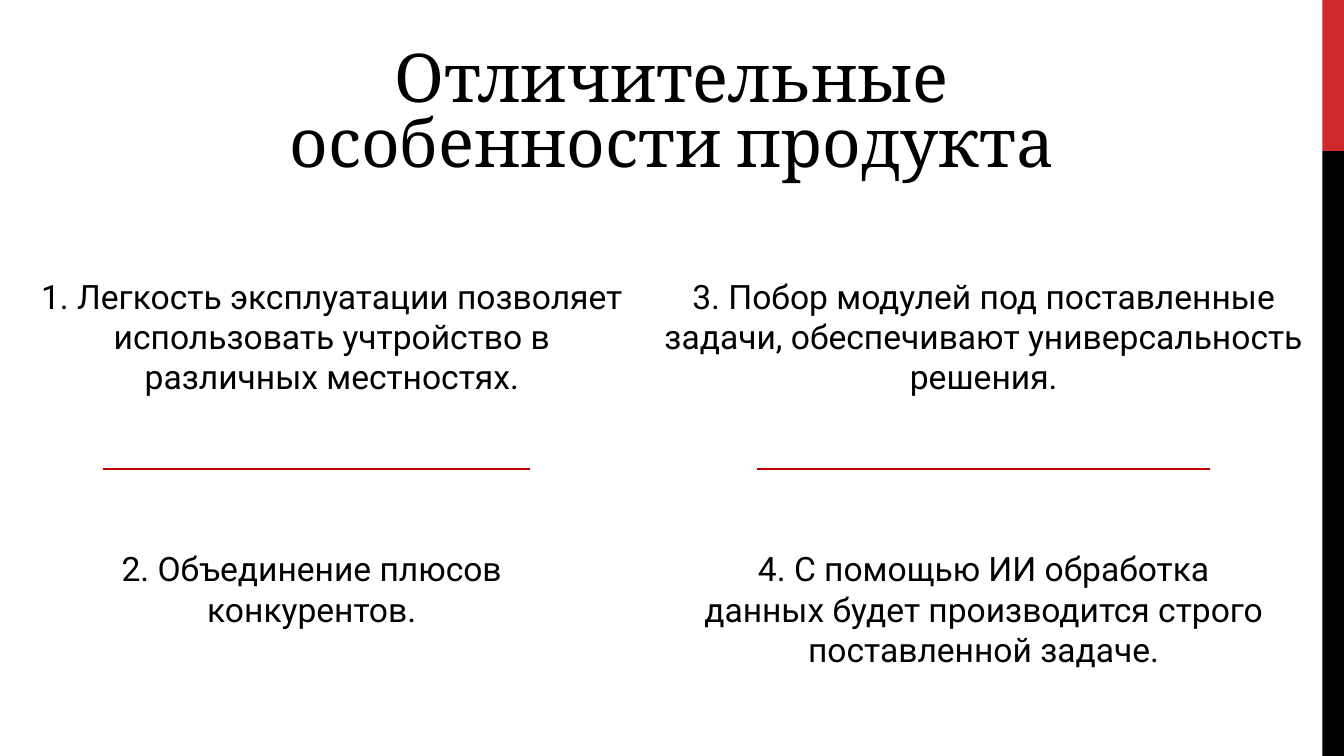
from lxml.etree import SubElement
from pptx import Presentation
from pptx.dml.color import RGBColor
from pptx.enum.shapes import MSO_CONNECTOR as Connector, MSO_SHAPE as Shape
from pptx.enum.text import MSO_ANCHOR as Anchor, MSO_AUTO_SIZE as AutoSize, PP_ALIGN as Align
from pptx.oxml.ns import qn
from pptx.util import Inches, Pt

BLACK = RGBColor(0x00, 0x00, 0x00)
BAR_RED = RGBColor(0xD1, 0x28, 0x2E)
RULE_RED = RGBColor(0xC0, 0x00, 0x00)

COLUMNS, ROWS = 100, 56.25


class FeatureSlide:
    title_font, body_font = "Cambria", "Roboto"
    title_size, body_size = Pt(36), Pt(18)

    def __init__(self, presentation):
        self.column = presentation.slide_width / COLUMNS
        self.row = presentation.slide_height / ROWS
        self.slide = presentation.slides.add_slide(presentation.slide_layouts[5])

    def place(self, left, top, width, height):
        return (round(left * self.column), round(top * self.row),
                round(width * self.column), round(height * self.row))

    def set_text(self, frame, text, font, size):
        frame.word_wrap = True
        frame.auto_size = AutoSize.NONE
        frame.vertical_anchor = Anchor.TOP
        paragraph = frame.paragraphs[0]
        paragraph.alignment = Align.CENTER
        run = paragraph.add_run()
        run.text = text
        run.font.name = font
        run.font.size = size
        run.font.color.rgb = BLACK
        return paragraph

    def title(self, text, *cells):
        shape = self.slide.shapes.title
        shape.left, shape.top, shape.width, shape.height = self.place(*cells)
        frame = shape.text_frame
        frame.margin_left = frame.margin_right = Inches(0.05)
        frame.margin_top = frame.margin_bottom = Inches(0.05)
        paragraph = self.set_text(frame, text, self.title_font, self.title_size)
        paragraph.line_spacing = 0.81

    def bar(self, color, *cells):
        shape = self.slide.shapes.add_shape(Shape.RECTANGLE, *self.place(*cells))
        shape.shadow.inherit = False
        shape.fill.solid()
        shape.fill.fore_color.rgb = color
        shape.line.fill.background()

    def feature(self, text, *cells):
        shape = self.slide.shapes.add_textbox(*self.place(*cells))
        self.set_text(shape.text_frame, text, self.body_font, self.body_size)

    def rule(self, left, top, width):
        x, y, length, _ = self.place(left, top, width, 0)
        line = self.slide.shapes.add_connector(Connector.STRAIGHT, x, y, x + length, y)
        line.line.color.rgb = RULE_RED
        line.line.width = Pt(1)
        SubElement(line._element.spPr, qn("a:effectLst"))


def main():
    presentation = Presentation()
    presentation.slide_width = Inches(10)
    presentation.slide_height = Inches(5.625)
    page = FeatureSlide(presentation)

    bar_left, bar_split = 98.4, ROWS / 5
    bar_width = COLUMNS - bar_left
    page.bar(BAR_RED, bar_left, 0, bar_width, bar_split)
    page.bar(BLACK, bar_left, bar_split, bar_width, ROWS - bar_split)
    page.title("Отличительные особенности продукта", 15.5, 3.2, 69, 9.7)

    upper, lower = 20, 40.3
    features = [
        ("1. Легкость эксплуатации позволяет использовать учтройство "
         "в различных местностях.", 1.8, upper, 45.8),
        ("2. Объединение плюсов конкурентов.", 1.8, lower, 42.8),
        ("3. Побор модулей под поставленные задачи, обеспечивают "
         "универсальность решения.", 48.2, upper, 50),
        ("4. С помощью ИИ обработка данных будет производится строго "
         "поставленной задаче.", 51.4, lower, 43.6),
    ]
    for text, left, top, width in features:
        page.feature(text, left, top, width, 10.1)

    for left, width in ((7.7, 31.7), (56.3, 33.7)):
        page.rule(left, 34.9, width)

    presentation.save("out.pptx")


if __name__ == "__main__":
    main()
